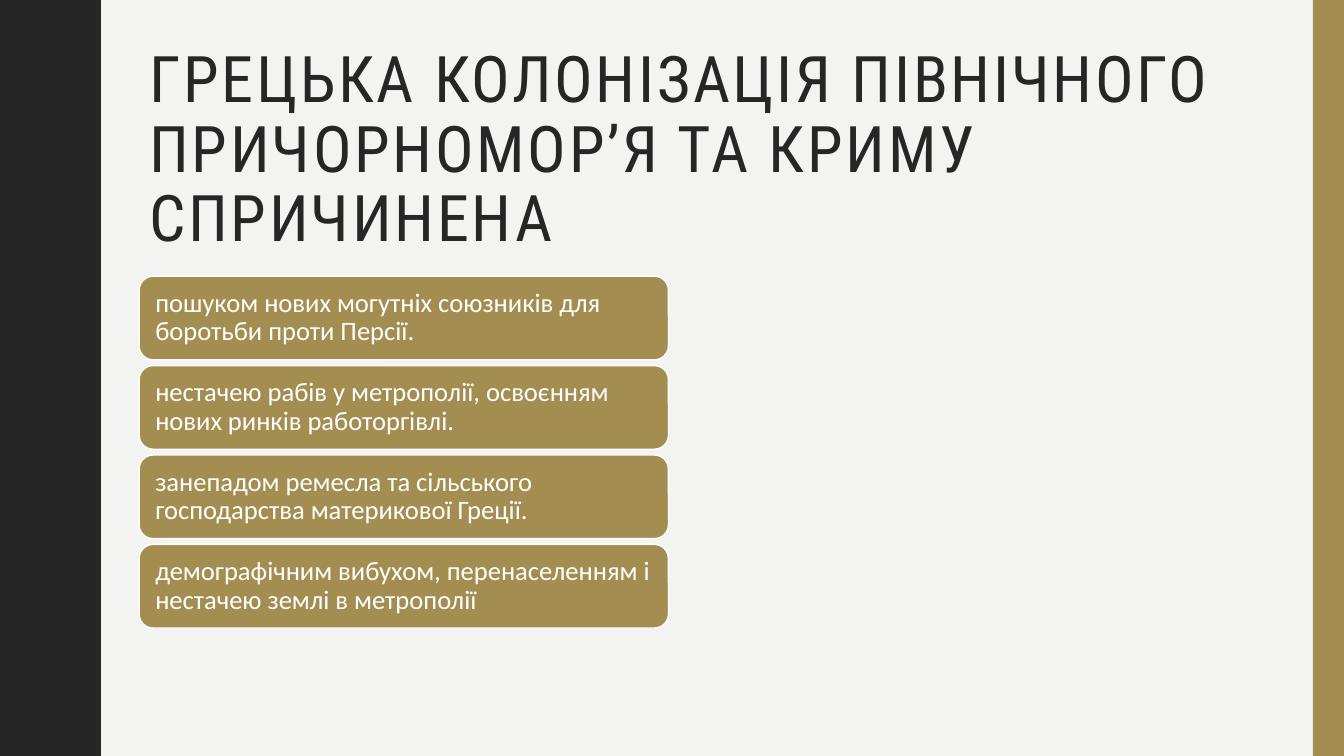
from pptx import Presentation
from pptx.dml.color import RGBColor
from pptx.enum.shapes import MSO_SHAPE as Kind
from pptx.enum.text import MSO_ANCHOR as Anchor, MSO_AUTO_SIZE as Fit, PP_ALIGN as Align
from pptx.util import Inches, Pt

WIDE, HIGH = 13.33, 7.5
DARK, GOLD, PALE, WHITE = "262626", "A38D51", "F3F3F2", "FFFFFF"
LEFT, TOP, PITCH = 1.38, 2.74, 0.887
CARD = (5.25, 0.83)
WAVES = 5
CURVE = [(0.78, 0), (0.78, 0.07), (0.79, 0.14), (0.8, 0.2), (0.81, 0.25),
         (0.83, 0.29), (0.85, 0.33), (0.87, 0.38), (0.89, 0.42), (0.91, 0.46),
         (0.93, 0.5), (0.95, 0.55), (0.96, 0.61), (0.97, 0.68), (0.97, 0.75)]
TITLE = "ГРЕЦЬКА КОЛОНІЗАЦІЯ ПІВНІЧНОГО ПРИЧОРНОМОР’Я ТА КРИМУ СПРИЧИНЕНА"
CAUSES = [
    "пошуком нових могутніх союзників для боротьби проти Персії.",
    "нестачею рабів у метрополії, освоєнням нових ринків работоргівлі.",
    "занепадом ремесла та сільського господарства материкової Греції.",
    "демографічним вибухом, перенаселенням і нестачею землі в метрополії",
]


def paint(fill, color):
    fill.solid()
    fill.fore_color.rgb = RGBColor.from_string(color)


def place(shape, *box):
    shape.left, shape.top, shape.width, shape.height = map(Inches, box)


def write(shape, text, font, size, color, anchor, inset):
    frame = shape.text_frame
    frame.word_wrap = True
    frame.auto_size = Fit.NONE
    frame.vertical_anchor = anchor
    frame.margin_left = frame.margin_right = Inches(inset[0])
    frame.margin_top = frame.margin_bottom = Inches(inset[1])
    para = frame.paragraphs[0]
    para.alignment = Align.LEFT
    para.line_spacing = 0.9
    para.space_before = Pt(0)
    run = para.add_run()
    run.text = text
    run.font.name = font
    run.font.size = Pt(size)
    run.font.color.rgb = RGBColor.from_string(color)
    return run


def wave(slide):
    span = HIGH / WAVES
    cycle = CURVE + [(x, span - y) for x, y in CURVE[-2::-1]]
    edge = [(x, y + n * span) for n in range(WAVES) for x, y in cycle]
    path = slide.shapes.build_freeform(0, 0, scale=Inches(1))
    path.add_line_segments(edge + [(0, HIGH)], close=True)
    shape = path.convert_to_shape()
    shape.shadow.inherit = False
    paint(shape.fill, DARK)
    shape.line.fill.background()


def block(slide, kind, box, line=None):
    shape = slide.shapes.add_shape(kind, *map(Inches, box))
    shape.shadow.inherit = False
    paint(shape.fill, GOLD)
    if line:
        paint(shape.line.fill, line)
        shape.line.width = Pt(1)
    else:
        shape.line.fill.background()
    return shape


def head(slide):
    title = slide.shapes.title
    place(title, LEFT, 0.42, 11.13, 1.63)
    run = write(title, TITLE, "Roboto Condensed", 45.9, DARK, Anchor.TOP, (0.1, 0.05))
    run.font._element.set("spc", "200")


def cards(slide):
    for row, text in enumerate(CAUSES):
        card = block(slide, Kind.ROUNDED_RECTANGLE, (LEFT, TOP + row * PITCH, *CARD), WHITE)
        write(card, text, "Calibri", 19, WHITE, Anchor.MIDDLE, (0.12, 0.08))


def main():
    deck = Presentation()
    deck.slide_width, deck.slide_height = Inches(WIDE), Inches(HIGH)
    slide = deck.slides.add_slide(deck.slide_layouts[5])
    paint(slide.background.fill, PALE)
    wave(slide)
    block(slide, Kind.RECTANGLE, (13.02, 0, WIDE - 13.02, HIGH))
    head(slide)
    cards(slide)
    deck.save("out.pptx")


if __name__ == "__main__":
    main()
